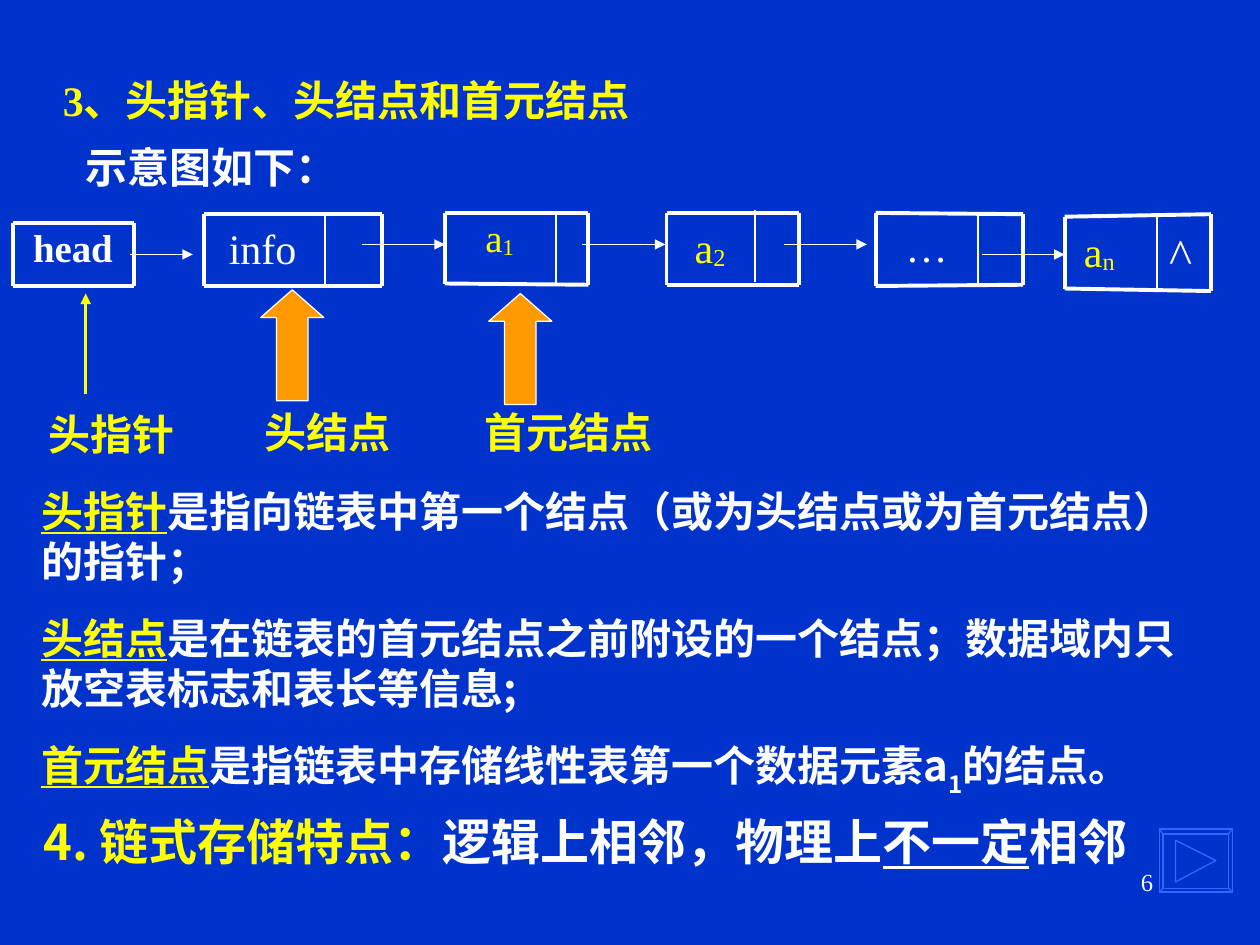
"""Build a slide on head pointers, head nodes and first element nodes of linked lists."""
from lxml.etree import SubElement
from pptx import Presentation
from pptx.dml.color import RGBColor
from pptx.enum.shapes import MSO_CONNECTOR, MSO_SHAPE
from pptx.enum.text import MSO_ANCHOR, PP_ALIGN
from pptx.oxml.ns import qn
from pptx.util import Inches, Pt

WHITE, YELLOW, ORANGE, BLUE = "FFFFFF", "FFFF00", "FF9900", "3366FF"
SERIF, SANS = "Times New Roman", "Noto Sans CJK SC"
color = RGBColor.from_string


def add_text(position, paragraphs, size, font=SERIF, bold=False,
             align=PP_ALIGN.LEFT, line_spacing=None):
    box = page.shapes.add_textbox(*map(Inches, position))
    frame = box.text_frame
    frame.word_wrap = True
    for index, runs in enumerate(paragraphs):
        para = frame.add_paragraph() if index else frame.paragraphs[0]
        para.alignment = align
        if line_spacing:
            para.line_spacing = line_spacing
        if index:
            para.space_before = Pt(15)
        for text, tint, underline, baseline in runs:
            span = para.add_run()
            span.text = text
            span.font.name = font
            span.font.size = Pt(size)
            span.font.bold = bold
            span.font.underline = underline
            span.font.color.rgb = color(tint)
            if baseline:
                span._r.get_or_add_rPr().set("baseline", str(baseline * 1000))
    return box


def add_line(start_x, start_y, end_x, end_y, width, tint=WHITE, arrow=False):
    line = page.shapes.add_connector(
        MSO_CONNECTOR.STRAIGHT, *map(Inches, (start_x, start_y, end_x, end_y)))
    line.line.color.rgb = color(tint)
    line.line.width = Pt(width)
    if arrow:
        SubElement(line.line._get_or_add_ln(), qn("a:tailEnd"), type="triangle")
    SubElement(line._element.spPr, qn("a:effectLst"))


deck = Presentation()
deck.slide_width, deck.slide_height = Inches(10), Inches(7.5)
page = deck.slides.add_slide(deck.slide_layouts[6])
page.background.fill.solid()
page.background.fill.fore_color.rgb = color("0033CC")

title = add_text((0.4, 0.36, 5.12, 0.62),
                 [[("3、头指针、头结点和首元结点", YELLOW, False, 0)]], 24, bold=True)
title.text_frame.vertical_anchor = MSO_ANCHOR.MIDDLE
title.text_frame.margin_top = Inches(0.24)
title.text_frame.margin_bottom = Inches(0)
add_text((0.58, 1.07, 2.7, 0.55), [[("示意图如下：", WHITE, False, 0)]], 24, bold=True)

for label, left, top, width in (("头指针", 0.16, 3.19, 1.45),
                                ("头结点", 1.85, 3.18, 1.5),
                                ("首元结点", 3.56, 3.18, 1.91)):
    add_text((left, top, width, 0.5), [[(label, YELLOW, False, 0)]], 24,
             bold=True, align=PP_ALIGN.CENTER)

add_line(0.68, 3.13, 0.68, 2.33, 2, YELLOW, arrow=True)
for left, top in ((2.07, 2.3), (3.88, 2.33)):
    pointer = page.shapes.add_shape(
        MSO_SHAPE.UP_ARROW, Inches(left), Inches(top), Inches(0.5), Inches(0.88))
    pointer.adjustments[1] = 0.44
    pointer.shadow.inherit = False
    pointer.fill.solid()
    pointer.fill.fore_color.rgb = color(ORANGE)
    pointer.line.color.rgb = color(WHITE)
    pointer.line.width = Pt(0.75)

for left, right, top_left, top_right, bottom_left, bottom_right in (
        (0.1, 1.06, 1.77, 1.77, 2.27, 2.27),
        (1.62, 3.03, 1.7, 1.7, 2.27, 2.27),
        (3.53, 4.67, 1.69, 1.69, 2.25, 2.26),
        (5.29, 6.34, 1.69, 1.69, 2.26, 2.26),
        (6.95, 8.12, 1.69, 1.7, 2.27, 2.26),
        (8.45, 9.61, 1.72, 1.7, 2.29, 2.31)):
    add_line(left, top_left, right, top_right, 2.25)
    add_line(left, bottom_left, right, bottom_right, 2.25)
    add_line(left, top_left, left, bottom_left, 2.25)
    add_line(right, top_right, right, bottom_right, 2.25)

for x, top in ((2.58, 1.7), (4.41, 1.7), (5.99, 1.67), (7.76, 1.69), (9.18, 1.72)):
    add_line(x, top, x, top + 0.57, 1)
for start, end, y in ((1.03, 1.53, 2.02), (2.87, 3.53, 1.94), (4.62, 5.28, 1.94),
                      (6.22, 6.88, 1.94), (7.79, 8.45, 2.02)):
    add_line(start, y, end, y, 0.75, arrow=True)

for position, text, subscript, tint, size, bold, spacing in (
        ((0.1, 1.77, 0.96, 0.5), "head", "", WHITE, 22.2, True, 0.9),
        ((1.62, 1.72, 0.93, 0.57), "info", "", WHITE, 24, False, None),
        ((3.53, 1.69, 0.87, 0.5), "a", "1", YELLOW, 22.2, False, 0.9),
        ((5.29, 1.71, 0.69, 0.57), "a", "2", YELLOW, 24, False, None),
        ((6.95, 1.7, 0.81, 0.57), "…", "", WHITE, 24, False, None),
        ((8.45, 1.74, 0.55, 0.57), "a", "n", YELLOW, 24, False, None),
        ((9.18, 1.73, 0.51, 0.57), "^", "", WHITE, 28, False, None)):
    runs = [(text, tint, False, 0)]
    if subscript:
        runs.append((subscript, tint, False, -8))
    align = PP_ALIGN.LEFT if text == "^" else PP_ALIGN.CENTER
    add_text(position, [runs], size, bold=bold, align=align, line_spacing=spacing)

add_text((0.23, 3.8, 9.2, 2.59), [
    [("头指针", YELLOW, True, 0),
     ("是指向链表中第一个结点（或为头结点或为首元结点）的指针；", WHITE, False, 0)],
    [("头结点", YELLOW, True, 0),
     ("是在链表的首元结点之前附设的一个结点；数据域内只放空表标志和表长等信息;",
      WHITE, False, 0)],
    [("首元结点", YELLOW, True, 0),
     ("是指链表中存储线性表第一个数据元素a", WHITE, False, 0),
     ("1", WHITE, False, -30),
     ("的结点。", WHITE, False, 0)],
], 24, SANS, bold=True)
add_text((0.25, 6.39, 9.17, 0.57), [
    [("4. 链式存储特点：", YELLOW, False, 0),
     ("逻辑上相邻，物理上", WHITE, False, 0),
     ("不一定", WHITE, True, 0),
     ("相邻", WHITE, False, 0)],
], 28, SANS, bold=True)

outer = [(9.2, 6.58), (9.78, 6.58), (9.78, 7.08), (9.2, 7.08)]
inner = [(9.23, 6.62), (9.75, 6.62), (9.75, 7.05), (9.23, 7.05)]
triangle = [(9.33, 6.67), (9.65, 6.83), (9.33, 7)]
builder = page.shapes.build_freeform(Inches(9.2), Inches(6.58))
builder.add_line_segments([tuple(map(Inches, point)) for point in outer[1:]])
for outline in (inner, triangle):
    builder.move_to(*map(Inches, outline[0]))
    builder.add_line_segments([tuple(map(Inches, point)) for point in outline[1:]])
for corner, inset in zip(outer, inner):
    builder.move_to(*map(Inches, corner))
    builder.add_line_segments([tuple(map(Inches, inset))], close=False)
button = builder.convert_to_shape()
button.shadow.inherit = False
button.fill.background()
button.line.color.rgb = color(BLUE)
button.line.width = Pt(0.75)

add_text((7.17, 6.83, 2.08, 0.5), [[("6", WHITE, False, 0)]], 14, align=PP_ALIGN.RIGHT)

deck.save("out.pptx")
